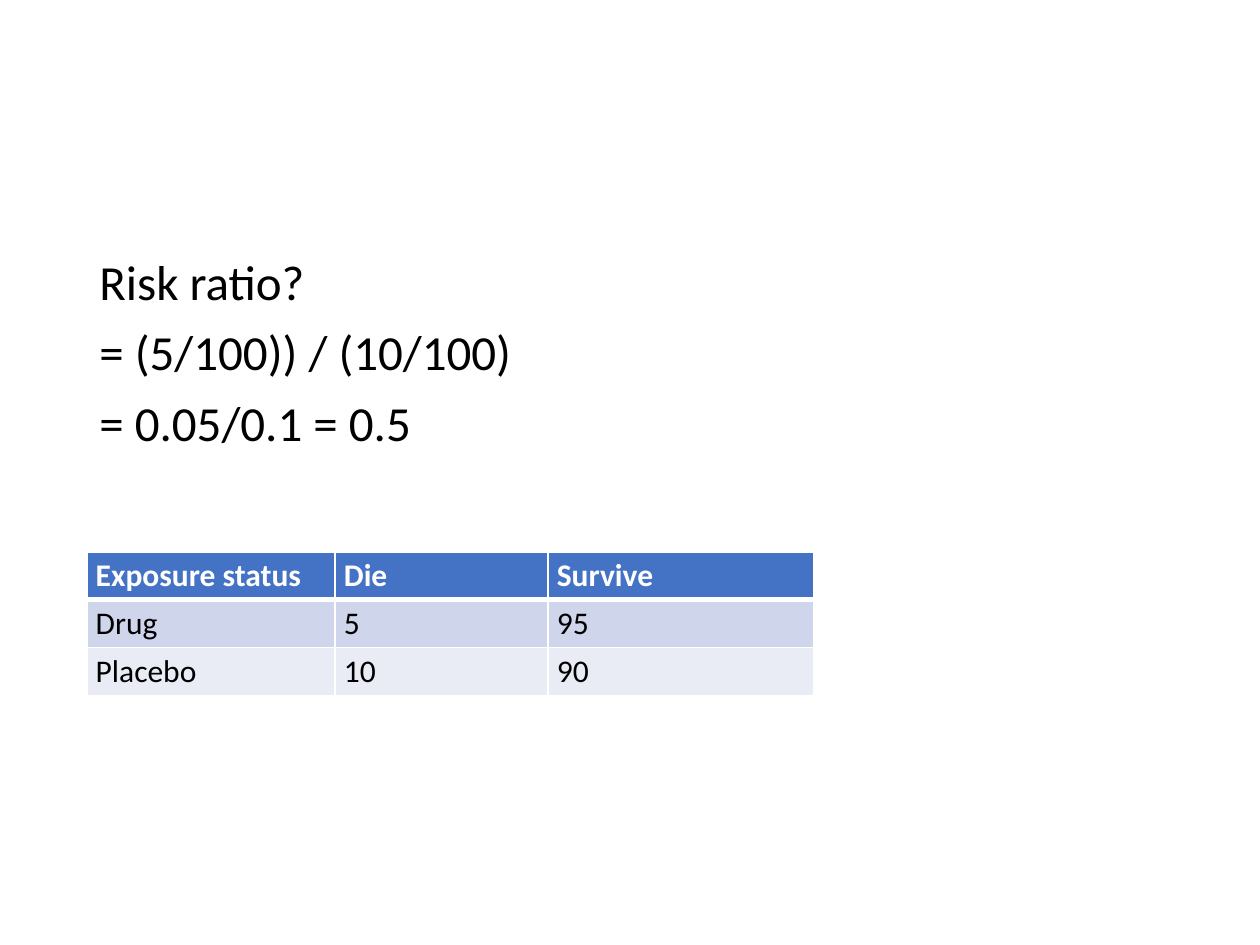
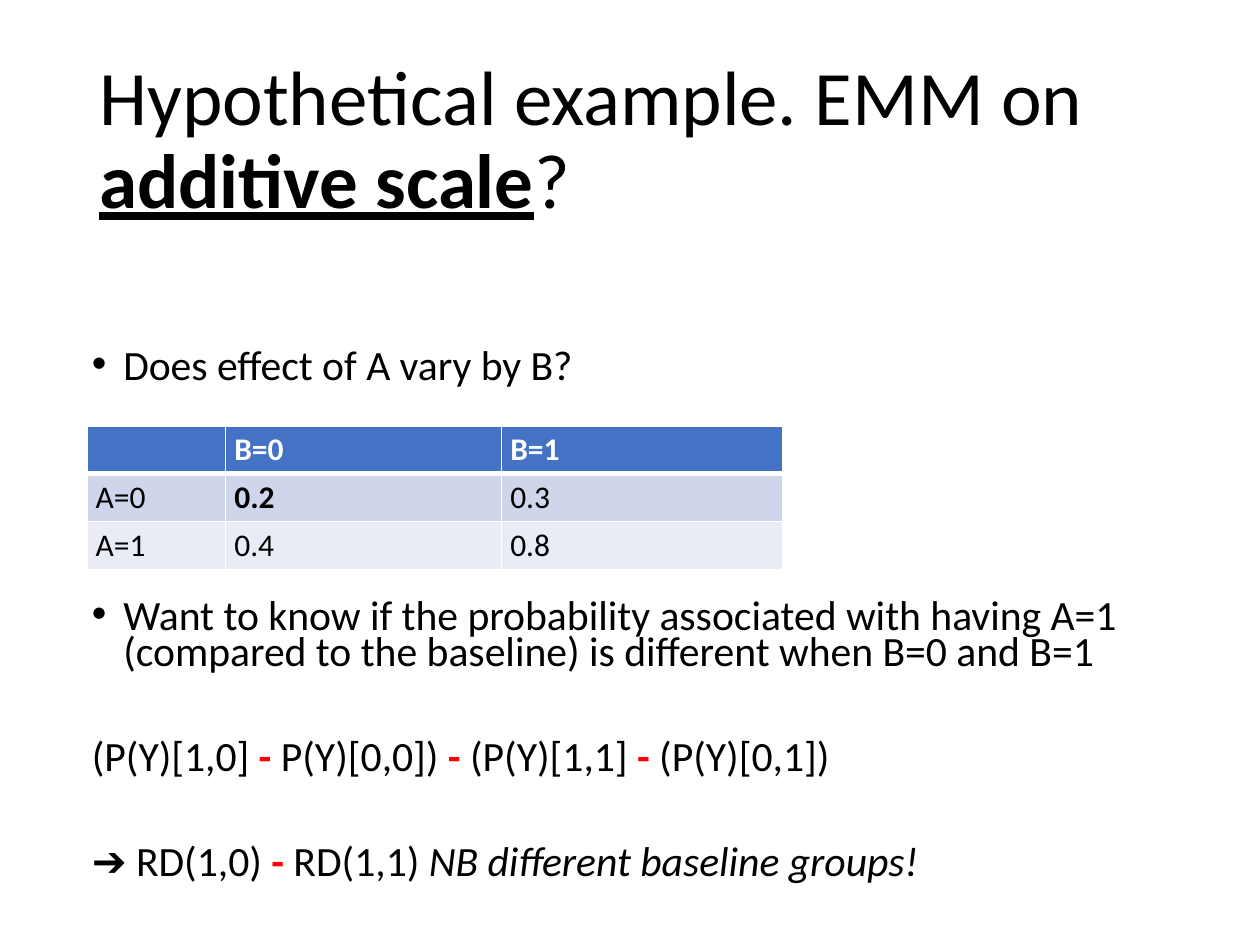
from lxml.etree import SubElement
from pptx import Presentation
from pptx.dml.color import RGBColor
from pptx.enum.text import MSO_ANCHOR
from pptx.oxml.ns import qn
from pptx.util import Inches, Pt

BLACK = RGBColor(0x00, 0x00, 0x00)
WHITE = RGBColor(0xFF, 0xFF, 0xFF)
RED = RGBColor(0xFF, 0x00, 0x00)
HEADER_BLUE = RGBColor(0x44, 0x72, 0xC4)
ROW_BANDS = (RGBColor(0xCF, 0xD5, 0xEA), RGBColor(0xE9, 0xEB, 0xF5))
FONT = "Calibri"

LEFT, TEXT_WIDTH = 0.69, 8.62
TABLE_HEIGHT, TABLE_SIZE = 1.12, 18
CELL_MARGINS = {"margin_left": 0.07, "margin_right": 0.07,
                "margin_top": 0.04, "margin_bottom": 0.04}
BULLET_INDENT = Inches(0.25)

BOLD = {"bold": True}
ITALIC = {"italic": True}
KEY_TERM = {"bold": True, "underline": True}
MINUS = ("-", {"bold": True, "color": RED})

# A paragraph is (space before in points, bulleted, runs);
# a run is a string or (string, format values).
RISK_RATIO = {
    "box": (LEFT, 2, TEXT_WIDTH, 4.76), "size": 28, "spacing": 0.9,
    "paragraphs": [
        (0, False, ["Risk ratio?"]),
        (10, False, ["= (5/100)) / (10/100)"]),
        (10, False, ["= 0.05/0.1 = 0.5"]),
    ],
}
RISK_TABLE = {
    "top": 4.38, "columns": (1.97, 1.69, 2.11),
    "rows": [("Exposure status", "Die", "Survive"),
             ("Drug", "5", "95"),
             ("Placebo", "10", "90")],
}
EMM_TITLE = {
    "box": (LEFT, 0.4, TEXT_WIDTH, 1.45), "size": 44, "spacing": 0.9,
    "anchor": MSO_ANCHOR.MIDDLE,
    "paragraphs": [
        (0, False, ["Hypothetical example. EMM on ", ("additive scale", KEY_TERM), "?"]),
    ],
}
EMM_BODY = {
    "box": (0.63, 2.2, TEXT_WIDTH, 4.9), "size": 23.8, "spacing": 0.7,
    "top_margin": 0.6,
    "paragraphs": [
        (0, True, ["Does effect of A vary by B?"]),
        (123, True, ["Want to know if the probability associated with having A=1 "
                     "(compared to the baseline) is different when B=0 and B=1"]),
        (40, False, ["(P(Y)[1,0] ", MINUS, " P(Y)[0,0]) ", MINUS,
                     " (P(Y)[1,1] ", MINUS, " (P(Y)[0,1])"]),
        (40, False, ["➔ RD(1,0) ", MINUS, " RD(1,1) ",
                     ("NB different baseline groups!", ITALIC)]),
    ],
}
EMM_TABLE = {
    "top": 3.38, "columns": (1.1, 2.19, 2.23),
    "rows": [("", "B=0", "B=1"),
             ("A=0", ("0.2", BOLD), "0.3"),
             ("A=1", "0.4", "0.8")],
}
SLIDES = [
    {"texts": [RISK_RATIO], "table": RISK_TABLE},
    {"texts": [EMM_TITLE, EMM_BODY], "table": EMM_TABLE},
]


def add_run(paragraph, content, size, **defaults):
    text, changes = (content, {}) if isinstance(content, str) else content
    values = {"color": BLACK, "bold": False, **defaults, **changes}
    run = paragraph.add_run()
    run.text = text
    run.font.color.rgb = values.pop("color")
    for name, value in {"name": FONT, "size": Pt(size), **values}.items():
        setattr(run.font, name, value)


def add_bullet(paragraph):
    properties = paragraph._p.get_or_add_pPr()
    properties.set("marL", str(BULLET_INDENT))
    properties.set("indent", str(-BULLET_INDENT))
    SubElement(properties, qn("a:buFont"), typeface="Arial")
    SubElement(properties, qn("a:buChar"), char="•")


def add_text(slide, block):
    frame = slide.shapes.add_textbox(*map(Inches, block["box"])).text_frame
    frame.word_wrap = True
    frame.vertical_anchor = block.get("anchor", MSO_ANCHOR.TOP)
    frame.margin_top = Inches(block.get("top_margin", 0.05))
    for index, (space_before, bulleted, runs) in enumerate(block["paragraphs"]):
        paragraph = frame.add_paragraph() if index else frame.paragraphs[0]
        if bulleted:
            add_bullet(paragraph)
        paragraph.line_spacing = block["spacing"]
        paragraph.space_before = Pt(space_before)
        for content in runs:
            add_run(paragraph, content, block["size"])


def add_borders(cell, top, bottom):
    """Draw white cell edges; top and bottom are widths in points."""
    properties = cell._tc.get_or_add_tcPr()
    for edge, width in (("lnL", 1), ("lnR", 1), ("lnT", top), ("lnB", bottom)):
        line = SubElement(properties, qn(f"a:{edge}"), w=str(Pt(width)))
        fill = SubElement(line, qn("a:solidFill"))
        SubElement(fill, qn("a:srgbClr"), val=str(WHITE))


def add_banded_table(slide, block):
    rows, columns = block["rows"], block["columns"]
    table = slide.shapes.add_table(
        len(rows), len(columns), Inches(LEFT), Inches(block["top"]),
        Inches(sum(columns)), Inches(TABLE_HEIGHT)).table
    for column, width in zip(table.columns, columns):
        column.width = Inches(width)
    for r, row in enumerate(rows):
        is_header = r == 0
        for c, content in enumerate(row):
            cell = table.cell(r, c)
            for name, margin in CELL_MARGINS.items():
                setattr(cell, name, Inches(margin))
            add_borders(cell, top=3 if r == 1 else 1, bottom=3 if is_header else 1)
            cell.fill.solid()
            cell.fill.fore_color.rgb = HEADER_BLUE if is_header else ROW_BANDS[(r - 1) % 2]
            if content:
                add_run(cell.text_frame.paragraphs[0], content, TABLE_SIZE,
                        color=WHITE if is_header else BLACK, bold=is_header)


def main():
    presentation = Presentation()
    presentation.slide_width, presentation.slide_height = Inches(10), Inches(7.5)
    blank = presentation.slide_layouts[6]
    for content in SLIDES:
        slide = presentation.slides.add_slide(blank)
        for block in content["texts"]:
            add_text(slide, block)
        add_banded_table(slide, content["table"])
    presentation.save("out.pptx")


if __name__ == "__main__":
    main()
